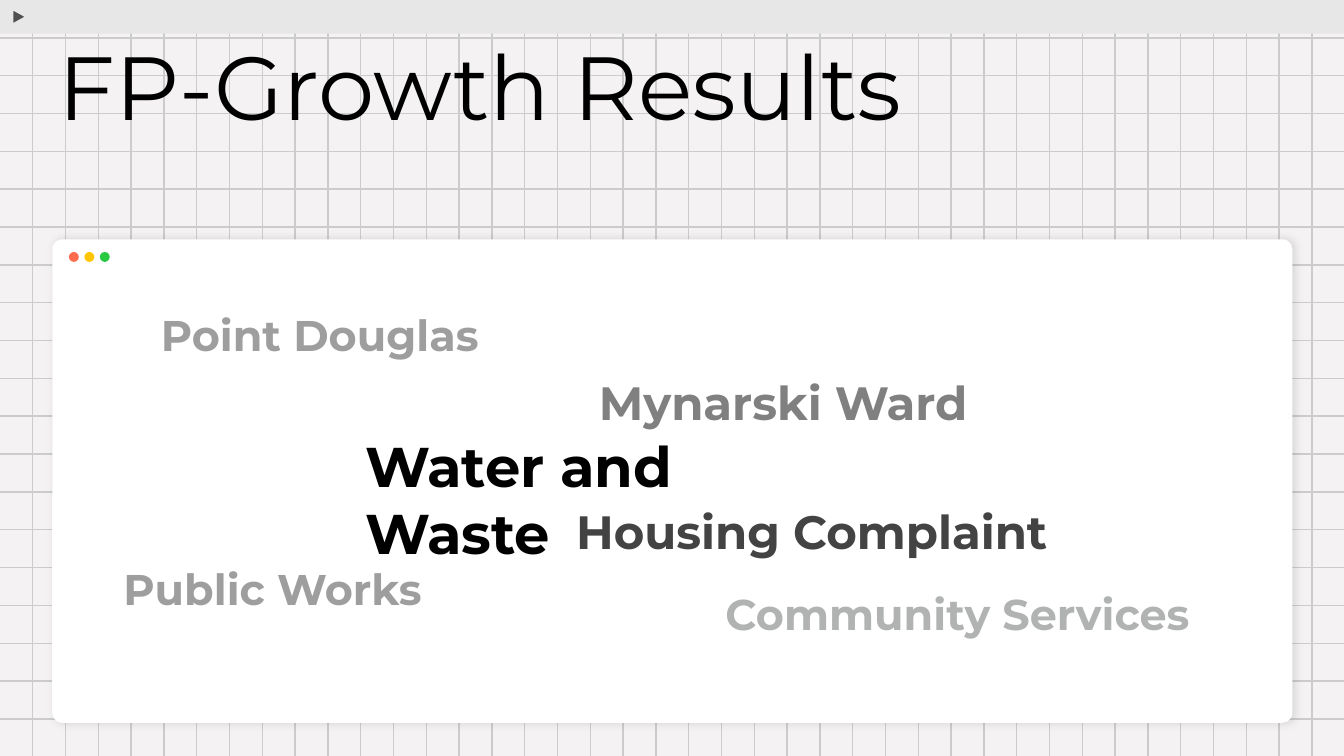
import pptx
import pptx.dml.color
import pptx.enum.shapes
import pptx.enum.text
import pptx.oxml
import pptx.oxml.ns
import pptx.util

Pt = pptx.util.Pt
SHAPE = pptx.enum.shapes.MSO_SHAPE
WIDTH, HEIGHT = 720, 405
GRID_X, GRID_Y = 17.57, 20.27
WORD_W, WORD_H = 280.8, 59.8

# text, left and top within the window, size, colour, highlight
WORDS = [
    ("Water and Waste", 160.5, 95.7, 30, "000000", None),
    ("Mynarski Ward", 285.8, 64.8, 25, "808080", None),
    ("Housing Complaint", 273.6, 133.9, 25, "434343", "FFFFFF"),
    ("Public Works", 31, 166.3, 23, "9E9E9E", "FFFFFF"),
    ("Point Douglas", 51.1, 30.2, 23, "9E9E9E", "FFFFFF"),
    ("Community Services", 353.5, 179.3, 23, "B0B3B2", "FFFFFF"),
]


def rgb(value):
    return pptx.dml.color.RGBColor.from_string(value)


def xml(text):
    return pptx.oxml.parse_xml(text.replace(">", f" {pptx.oxml.ns.nsdecls('a')}>", 1))


def add_shape(s, kind, x, y, w, h, fill, line=None):
    sp = s.shapes.add_shape(kind, Pt(x), Pt(y), Pt(w), Pt(h))
    sp.shadow.inherit = False
    sp.fill.solid()
    sp.fill.fore_color.rgb = rgb(fill)
    if line:
        sp.line.color.rgb = rgb(line)
        sp.line.width = Pt(0.75)
    else:
        sp.line.fill.background()
    return sp


def add_text(s, text, x, y, w, h, size, color, bold=False, highlight=None, spacing=None):
    tf = s.shapes.add_textbox(Pt(x), Pt(y), Pt(w), Pt(h)).text_frame
    frame = {"word_wrap": True, "vertical_anchor": pptx.enum.text.MSO_ANCHOR.TOP}
    frame.update({f"margin_{side}": Pt(7.2) for side in ("left", "top", "right", "bottom")})
    for name, value in frame.items():
        setattr(tf, name, value)
    p = tf.paragraphs[0]
    p.line_spacing = spacing
    r = p.add_run()
    r.text = text
    for name, value in {"name": "Montserrat", "size": Pt(size), "bold": bold}.items():
        setattr(r.font, name, value)
    r.font.color.rgb = rgb(color)
    if highlight:
        fill = r.font.fill._xPr.find(pptx.oxml.ns.qn("a:solidFill"))
        fill.addnext(xml(f'<a:highlight><a:srgbClr val="{highlight}"/></a:highlight>'))


def add_grid(s, x, y, w, h):
    rows = [(x, y + i * GRID_Y, x + w, y + i * GRID_Y) for i in range(1, int(h / GRID_Y) + 1)]
    columns = [(x + i * GRID_X, y, x + i * GRID_X, y + h) for i in range(1, int(w / GRID_X) + 1)]
    for ends in rows + columns:
        line = s.shapes.add_connector(
            pptx.enum.shapes.MSO_CONNECTOR.STRAIGHT, *[Pt(v) for v in ends])
        line.line.color.rgb = rgb("CCCCCC")
        line.line.width = Pt(0.75)
        line._element.spPr.append(xml("<a:effectLst></a:effectLst>"))


def add_top_bar(s, x, y, w, h):
    add_shape(s, SHAPE.RECTANGLE, x, y, w, h, "E7E7E7")
    arrow = add_shape(s, SHAPE.ISOSCELES_TRIANGLE, x + 6.5, y + 5.5, 7.7, 7, "4F4F4F", "E7E7E7")
    arrow.rotation = 90


def add_window(s, x, y, w, h):
    # Panel with a soft shadow
    panel = add_shape(s, SHAPE.ROUNDED_RECTANGLE, x, y, w, h, "FFFFFF")
    panel.adjustments[0] = 0.02
    effects = panel._element.spPr.find(pptx.oxml.ns.qn("a:effectLst"))
    effects.append(xml(
        f'<a:outerShdw blurRad="{Pt(4.5)}" dist="{Pt(1.5)}" dir="0" algn="bl" rotWithShape="0">'
        '<a:srgbClr val="000000"><a:alpha val="11000"/></a:srgbClr></a:outerShdw>'))
    # Window buttons
    for i, color in enumerate(("FF6B4D", "FFC600", "28C840")):
        add_shape(s, SHAPE.OVAL, x + 8.9 + i * 8.3, y + 6.8, 5.3, 5.3, color)
    # Word cloud
    for text, dx, dy, size, color, highlight in WORDS:
        add_text(s, text, x + dx, y + dy, WORD_W, WORD_H, size, color, True, highlight)


def main():
    prs = pptx.Presentation()
    prs.slide_width, prs.slide_height = Pt(WIDTH), Pt(HEIGHT)
    s = prs.slides.add_slide(prs.slide_layouts[6])
    s.background.fill.solid()
    s.background.fill.fore_color.rgb = rgb("F4F2F2")
    add_grid(s, 0, 0, WIDTH, HEIGHT)
    add_top_bar(s, 0, 0, WIDTH, 18)
    add_window(s, 28, 128.2, 664.3, 259)
    add_text(s, "FP-Growth Results", 24.5, 15.8, 695.5, 67, 48, "000000", spacing=0.9)
    prs.save("out.pptx")


if __name__ == "__main__":
    main()
